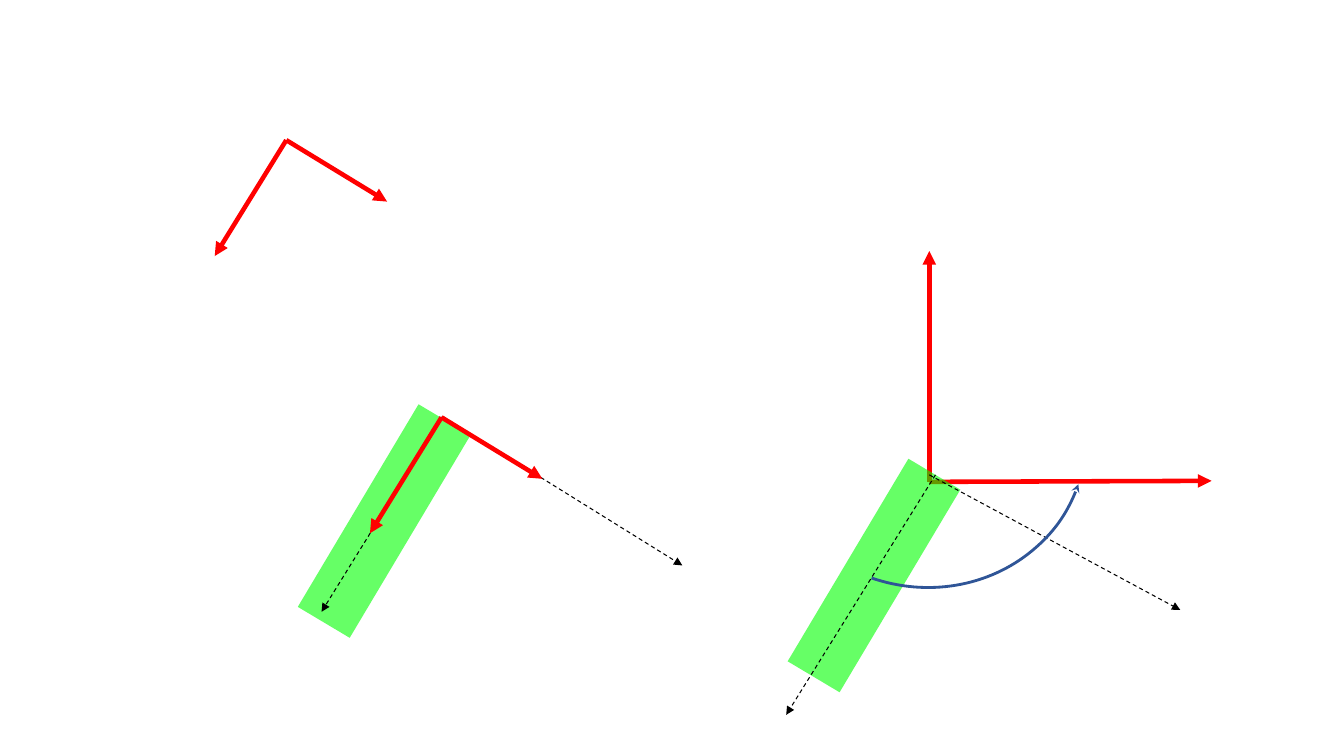
from lxml import etree
from pptx import Presentation
from pptx.dml.color import RGBColor
from pptx.enum.dml import MSO_LINE
from pptx.enum.shapes import MSO_CONNECTOR as Connector, MSO_SHAPE as Shape
from pptx.oxml.ns import qn
from pptx.util import Pt

RED = RGBColor(0xFF, 0x00, 0x00)
BLACK = RGBColor(0x00, 0x00, 0x00)
GREEN = RGBColor(0x00, 0xFF, 0x00)
BLUE = RGBColor(0x2F, 0x55, 0x97)

AXIS = {"width": Pt(3.25)}
GUIDE = {"width": Pt(0.75), "dash_style": MSO_LINE.DASH}
SWEEP = {"width": Pt(2)}

SMALL_AXES = [(-51.1, 82.8), (72, 43.9)]
BAR_SIZE = (168.5, 43.2)
BAR_ANGLE = 120.8


def format_line(shape, color, line_format, arrowhead):
    shape.line.color.rgb = color
    for name, value in line_format.items():
        setattr(shape.line, name, value)
    line = shape.element.spPr.find(qn("a:ln"))
    etree.SubElement(line, qn("a:tailEnd"), type=arrowhead)


def add_arrows(shapes, origin, offsets, color, line_format):
    """Draw arrows from one origin; each offset gives a tip relative to it."""
    x, y = origin
    for dx, dy in offsets:
        arrow = shapes.add_connector(
            Connector.STRAIGHT, Pt(x), Pt(y), Pt(x + dx), Pt(y + dy))
        format_line(arrow, color, line_format, "triangle")
        etree.SubElement(arrow.element.spPr, qn("a:effectLst"))


def add_bar(shapes, left, top):
    width, height = BAR_SIZE
    bar = shapes.add_shape(Shape.RECTANGLE, Pt(left), Pt(top), Pt(width), Pt(height))
    bar.rotation = BAR_ANGLE
    bar.shadow.inherit = False
    bar.fill.solid()
    bar.fill.fore_color.rgb = GREEN
    color = bar.element.spPr.find(qn("a:solidFill"))[0]
    etree.SubElement(color, qn("a:alpha"), val="60000")
    bar.line.fill.background()


def add_sweep(shapes, left, top, width, height):
    """Draw the curved arrow from the bar round to the horizontal axis."""
    arc = shapes.add_shape(Shape.ARC, Pt(left), Pt(top), Pt(width), Pt(height))
    arc.rotation = 19.1
    arc.element.spPr.find(qn("a:xfrm")).set("flipV", "1")
    arc.shadow.inherit = False
    arc.fill.background()
    format_line(arc, BLUE, SWEEP, "stealth")


def add_free_frame(slide, x, y):
    frame = slide.shapes.add_group_shape().shapes
    add_arrows(frame, (x, y), SMALL_AXES, RED, AXIS)


def add_bar_frame(slide, x, y):
    """Draw a bar with its own axes, extended by dashed guides."""
    add_bar(slide.shapes, x - 125.3, y + 52.5)
    frame = slide.shapes.add_group_shape().shapes
    add_arrows(frame, (x + 0.7, y - 0.7), [(171.3, 106.5), (-86.4, 139.6)], BLACK, GUIDE)
    add_arrows(frame, (x, y), SMALL_AXES, RED, AXIS)


def add_rotated_frame(slide, x, y):
    """Draw upright axes with a bar turned away from them."""
    frame = slide.shapes.add_group_shape().shapes
    add_arrows(frame, (x, y), [(201.6, -0.7), (0, -164.9)], RED, AXIS)
    add_bar(frame, x - 123.8, y + 45.3)
    add_arrows(slide.shapes, (x, y - 5), [(179.3, 96.5)], BLACK, GUIDE)
    add_arrows(slide.shapes, (x + 4.4, y - 5), [(-106.6, 171.4)], BLACK, GUIDE)
    add_sweep(slide.shapes, x - 122.4, y - 148.4, 235.4, 223.2)


def main():
    presentation = Presentation()
    presentation.slide_width = Pt(960)
    presentation.slide_height = Pt(540)
    slide = presentation.slides.add_slide(presentation.slide_layouts[6])
    add_bar_frame(slide, 315.4, 298.1)
    add_rotated_frame(slide, 663.8, 344.2)
    add_free_frame(slide, 204.5, 100.1)
    presentation.save("out.pptx")


if __name__ == "__main__":
    main()
